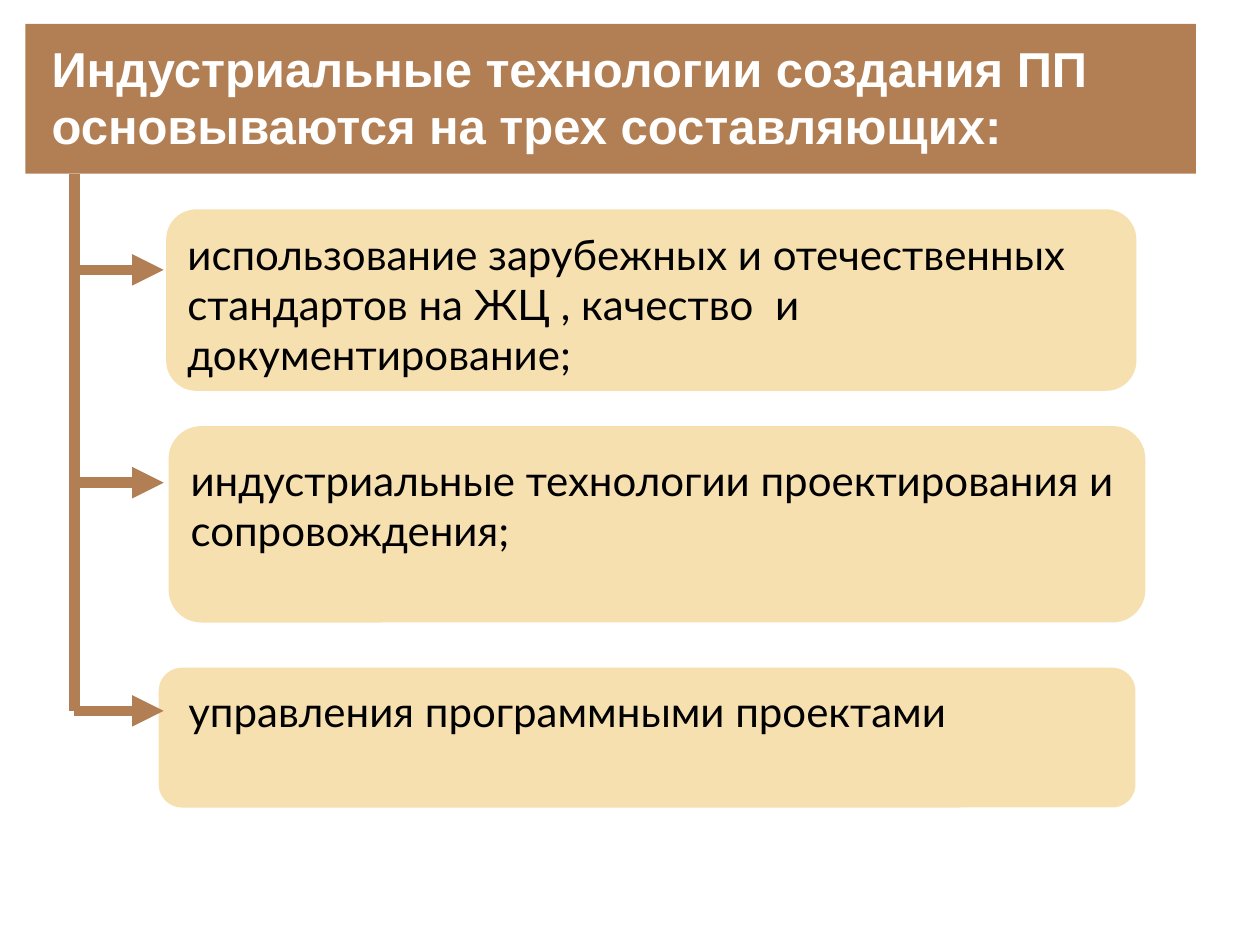
from typing import NamedTuple

from lxml import etree
from pptx import Presentation
from pptx import util as u
from pptx.dml.color import RGBColor
from pptx.enum import shapes, text
from pptx.oxml import ns

BROWN, CREAM, WHITE, BLACK = "B27F54", "F7E0B0", "FFFFFF", "000000"
TRUNK_X, ARROW_END = 1.5, 3.3


class Component(NamedTuple):
    """One of the three components; lengths in centimetres."""
    wording: str
    left: float
    top: float
    width: float
    height: float
    inset_left: float
    inset_top: float
    arrow_y: float


COMPONENTS = [
    Component("использование зарубежных и отечественных стандартов на ЖЦ , "
              "качество  и документирование;",
              3.35, 4.22, 19.56, 3.66, 0.25, 0.2, 5.44),
    Component("индустриальные технологии проектирования и сопровождения;",
              3.4, 8.59, 19.69, 3.96, 0.25, 0.38, 9.73),
    Component("управления программными проектами",
              3.2, 13.46, 19.69, 2.82, 0.46, 0.23, 14.33),
]


def rgb(value: str) -> RGBColor:
    return RGBColor.from_string(value)


def apply(target, values: dict) -> None:
    for name, value in values.items():
        setattr(target, name, value)


def write(shape, wording: str, fill: str, colour: str, frame: dict,
          font: dict) -> None:
    """Fill the shape and set its text, aligned left."""
    shape.fill.solid()
    shape.fill.fore_color.rgb = rgb(fill)
    shape.text_frame.text = wording
    apply(shape.text_frame, {"word_wrap": True,
                             "auto_size": text.MSO_AUTO_SIZE.NONE, **frame})
    paragraph = shape.text_frame.paragraphs[0]
    paragraph.alignment = text.PP_ALIGN.LEFT
    for run in paragraph.runs:
        apply(run.font, font)
        run.font.color.rgb = rgb(colour)


def add_title(slide) -> None:
    title = slide.shapes.title
    apply(title, {"left": u.Cm(0.51), "top": u.Cm(0.48),
                  "width": u.Cm(23.6), "height": u.Cm(3.02)})
    write(title, "Индустриальные технологии создания ПП\v"
                 "основываются на трех составляющих:", BROWN, WHITE,
          {"vertical_anchor": text.MSO_ANCHOR.MIDDLE, "margin_left": u.Cm(0.53),
           "margin_right": 0, "margin_top": 0, "margin_bottom": 0},
          {"name": "Arial", "size": u.Pt(28), "bold": True})
    title.text_frame.paragraphs[0].line_spacing = 0.97


def add_component(slide, part: Component) -> None:
    box = slide.shapes.add_shape(
        shapes.MSO_SHAPE.ROUNDED_RECTANGLE, u.Cm(part.left), u.Cm(part.top),
        u.Cm(part.width), u.Cm(part.height))
    box.shadow.inherit = False
    box.line.fill.background()
    write(box, part.wording, CREAM, BLACK,
          {"vertical_anchor": text.MSO_ANCHOR.TOP,
           "margin_left": u.Cm(part.inset_left),
           "margin_top": u.Cm(part.inset_top)},
          {"name": "Lato", "size": u.Pt(24)})


def add_line(slide, x1: float, y1: float, x2: float, y2: float,
             arrow: bool = False) -> None:
    line = slide.shapes.add_connector(
        shapes.MSO_CONNECTOR.STRAIGHT, u.Cm(x1), u.Cm(y1), u.Cm(x2), u.Cm(y2))
    line.line.color.rgb = rgb(BROWN)
    line.line.width = u.Pt(6)
    if arrow:
        etree.SubElement(line.line._get_or_add_ln(), ns.qn("a:tailEnd"),
                         type="triangle")
    etree.SubElement(line._element.spPr, ns.qn("a:effectLst"))


def main() -> None:
    deck = Presentation()
    apply(deck, {"slide_width": u.Cm(25.4), "slide_height": u.Cm(19.05)})
    slide = deck.slides.add_slide(deck.slide_layouts[5])
    add_title(slide)
    add_line(slide, TRUNK_X, 3.5, TRUNK_X, COMPONENTS[-1].arrow_y)
    for part in COMPONENTS:
        add_component(slide, part)
        add_line(slide, TRUNK_X, part.arrow_y, ARROW_END, part.arrow_y, True)
    deck.save("out.pptx")


if __name__ == "__main__":
    main()
